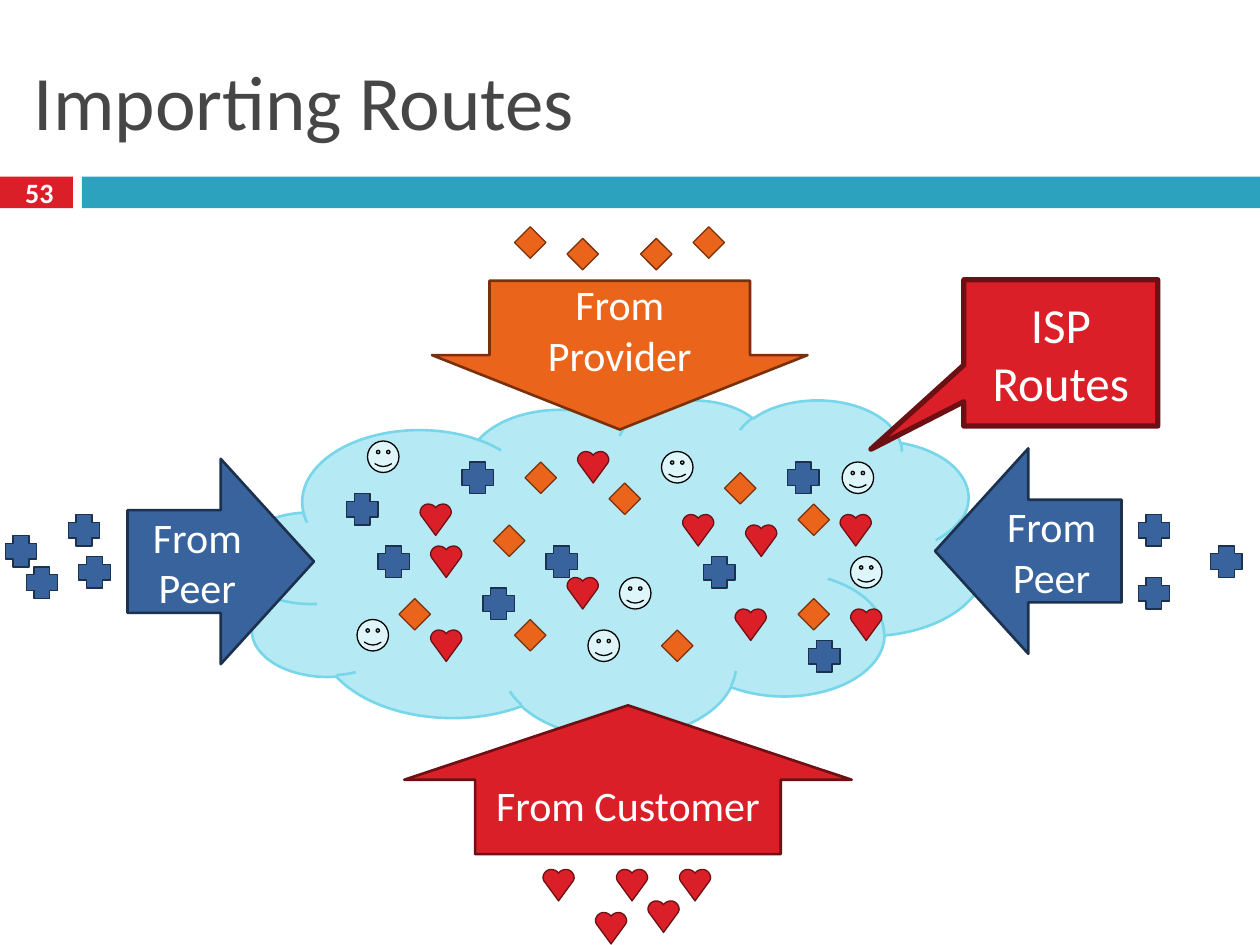
"""Build the slide on importing routes into an ISP network."""
import pptx
import pptx.dml.color
import pptx.enum.shapes
import pptx.enum.text
import pptx.util

SHAPE = pptx.enum.shapes.MSO_SHAPE
ALIGN = pptx.enum.text.PP_ALIGN
MIDDLE = pptx.enum.text.MSO_ANCHOR.MIDDLE
Cm = pptx.util.Cm
Pt = pptx.util.Pt

COLORS = {
    "title": "464646", "white": "FFFFFF", "black": "000000", "bar": "2DA2BF",
    "cloud": "B5E9F4", "cloud edge": "78D6EA", "smile": "DEF5FA",
    "red": "DA1F28", "red edge": "6D1014",
    "orange": "EB641B", "orange edge": "78310B",
    "blue": "39639D", "blue edge": "1C314E",
}
GRID = Cm(2.54) / 12
SYMBOL_CELLS = 3
HEART_SCALE = Cm(2.54) / 1000
HEART_LEFT = [(-10, 18), (-25, 8), (-43, 2), (-63, 0), (-83, 5), (-100, 16),
              (-113, 31), (-122, 50), (-124, 70), (-117, 90)]

SYMBOLS = [
    (SHAPE.DIAMOND, "orange", "orange edge", [
        (76, 48), (49, 59), (76, 57), (50, 44), (69, 45), (63, 60), (58, 46),
        (38, 57), (47, 50), (61, 22.7), (49, 21.6), (66, 21.6), (54, 22.7)]),
    (SHAPE.CROSS, "blue", "blue edge", [
        (33, 47), (52, 52), (77, 61), (75, 44), (36, 52), (46, 56), (67, 53),
        (44, 44), (108.4, 55), (2.5, 54), (7.5, 53), (0.5, 51), (6.5, 49),
        (108.4, 49), (115.3, 52)]),
    (SHAPE.SMILEY_FACE, "smile", "black", [
        (56, 60), (63, 43), (34, 59), (35, 42), (81, 53), (59, 55),
        (80.2, 44)]),
]
HEARTS = [
    (81, 58), (70, 58), (41, 60), (41, 52), (40, 48), (54, 55), (65, 49),
    (55, 43), (80, 49), (71, 50), (56.7, 86.9), (61.7, 85.8), (51.7, 82.8),
    (64.7, 82.8), (58.7, 82.8)]


class RouteSlide:
    """Hold the slide and its style, and draw each kind of element."""

    def __init__(self, deck):
        self.slide = deck.slides.add_slide(deck.slide_layouts[5])
        self.shapes = self.slide.shapes
        self.font = "Calibri"

    def color(self, name):
        """Return the named colour."""
        return pptx.dml.color.RGBColor.from_string(COLORS[name])

    def paint(self, shape, fill, edge=None, width=0.75):
        """Set fill and outline and remove the shadow."""
        shape.shadow.inherit = False
        shape.fill.solid()
        shape.fill.fore_color.rgb = self.color(fill)
        if edge:
            shape.line.color.rgb = self.color(edge)
            shape.line.width = Pt(width)
        else:
            shape.line.fill.background()

    def set_text(self, shape, text, size, color="white", align=ALIGN.CENTER, bold=False):
        """Put one paragraph in a shape."""
        frame = shape.text_frame
        frame.word_wrap = True
        frame.vertical_anchor = MIDDLE
        para = frame.paragraphs[0]
        para.text = text
        para.alignment = align
        para.font.name = self.font
        para.font.size = Pt(size)
        para.font.bold = bold
        para.font.color.rgb = self.color(color)

    def title(self, text, place):
        """Move and fill the title placeholder."""
        box = self.shapes.title
        box.left, box.top, box.width, box.height = map(Cm, place)
        self.set_text(box, text, 44, "title", ALIGN.LEFT)

    def label(self, text, place, size):
        """Add a bold text box."""
        self.set_text(self.shapes.add_textbox(*map(Cm, place)), text, size, bold=True)

    def block(self, kind, place, fill, edge=None, width=1.5, text=None, size=24, adjust=()):
        """Add a preset shape with optional text and adjustments."""
        shape = self.shapes.add_shape(kind, *map(Cm, place))
        self.paint(shape, fill, edge, width)
        for index, value in enumerate(adjust):
            shape.adjustments[index] = value
        if text:
            self.set_text(shape, text, size)

    def symbol(self, kind, fill, edge, column, row):
        """Add a small route symbol on the grid."""
        side = round(SYMBOL_CELLS * GRID)
        shape = self.shapes.add_shape(kind, round(column * GRID), round(row * GRID), side, side)
        self.paint(shape, fill, edge)

    def heart(self, column, row):
        """Add a heart outline on the grid."""
        right = [(-x, y) for x, y in reversed(HEART_LEFT)]
        builder = self.shapes.build_freeform(0, 30, HEART_SCALE)
        builder.add_line_segments(HEART_LEFT + [(0, 250)] + right)
        center = round((column + SYMBOL_CELLS / 2) * GRID)
        shape = builder.convert_to_shape(center, round(row * GRID))
        self.paint(shape, "red", "red edge")


def main():
    """Build and save the deck."""
    deck = pptx.Presentation()
    deck.slide_width, deck.slide_height = Cm(25.4), Cm(19.05)
    page = RouteSlide(deck)

    page.title("Importing Routes", (0.43, 0.64, 24.56, 2.74))
    page.block(SHAPE.RECTANGLE, (0, 3.56, 1.47, 0.64), "red")
    page.block(SHAPE.RECTANGLE, (1.65, 3.56, 23.75, 0.64), "bar")
    page.label("53", (-0.03, 3.51, 1.65, 0.74), 16)
    page.block(SHAPE.CLOUD, (4.75, 8.05, 15.11, 6.81), "cloud", "cloud edge")

    for kind, fill, edge, cells in SYMBOLS:
        for column, row in cells:
            page.symbol(kind, fill, edge, column, row)
    for column, row in HEARTS:
        page.heart(column, row)

    page.block(SHAPE.DOWN_ARROW, (8.71, 5.66, 7.57, 3), "orange", "orange edge",
               text="From Provider", adjust=(0.694, 0.5))
    page.block(SHAPE.LEFT_ARROW, (18.85, 9.04, 3.76, 4.14), "blue", "blue edge",
               text="From Peer")
    page.block(SHAPE.RIGHT_ARROW, (2.57, 9.25, 3.76, 4.14), "blue", "blue edge",
               text="From Peer")
    page.block(SHAPE.UP_ARROW, (8.15, 14.22, 9.02, 3), "red", "red edge",
               text="From Customer", adjust=(0.683, 0.5))
    page.block(SHAPE.RECTANGULAR_CALLOUT, (19.43, 5.64, 3.91, 2.95), "red", "red edge",
               width=3, text="ISP Routes", size=28, adjust=(-0.979, 0.658))
    deck.save("out.pptx")


if __name__ == "__main__":
    main()
